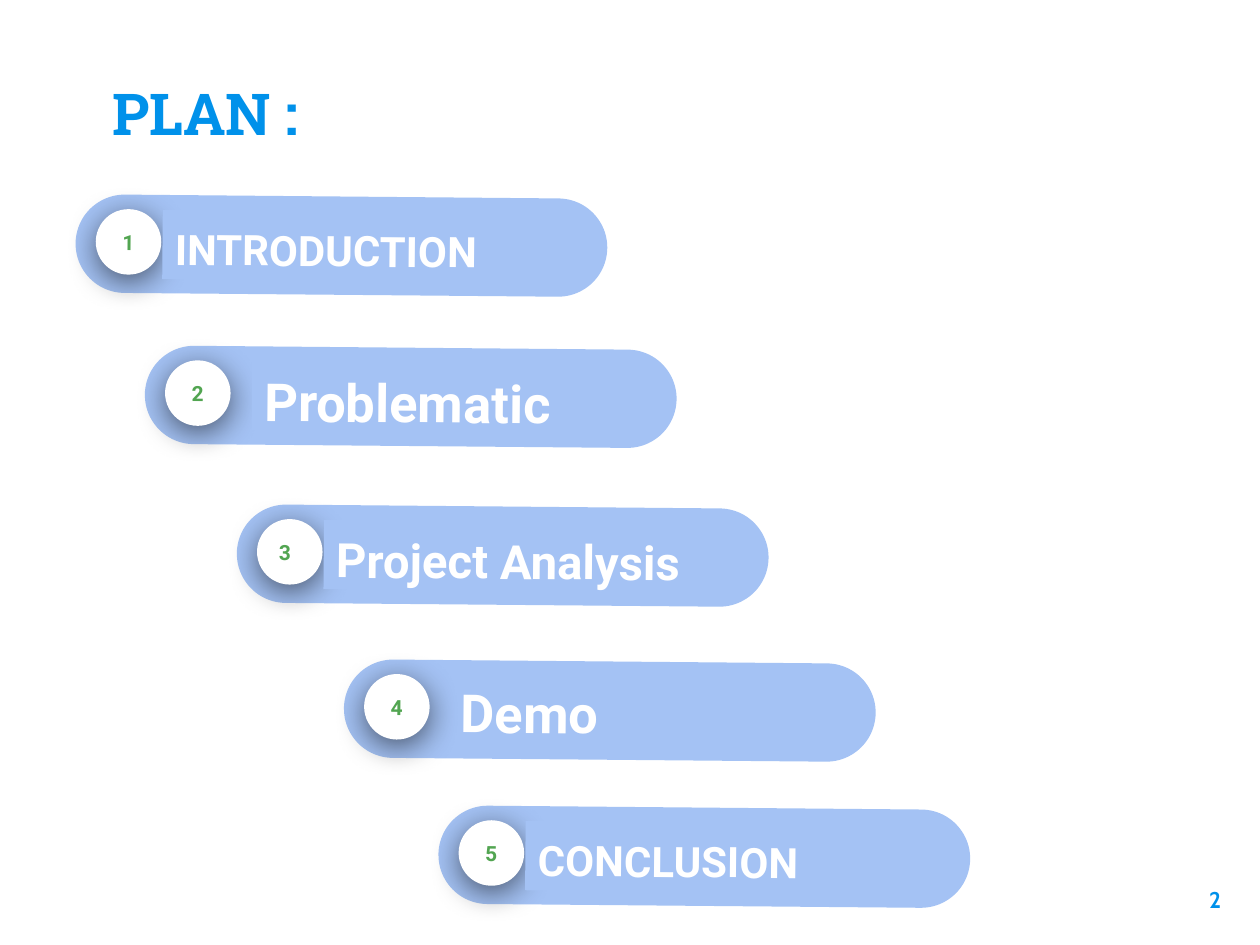
from dataclasses import dataclass

from lxml.etree import SubElement
from pptx import Presentation
from pptx.dml.color import RGBColor
from pptx.enum.shapes import MSO_SHAPE
from pptx.enum.text import MSO_ANCHOR, MSO_AUTO_SIZE, PP_ALIGN
from pptx.oxml.ns import qn
from pptx.util import Inches, Pt

COLORS = {
    "accent": "0091EA",
    "bar": "A4C2F4",
    "number": "52A551",
    "white": "FFFFFF",
    "shadow": "000000",
}
TILT = 0.5
BAR_LENGTH, BAR_HEIGHT = 4.22, 0.78
BADGE_SIZE = 0.52
LABEL_HEIGHT = 0.55


@dataclass
class Step:
    number: str
    label: str
    left: float  # left and top of the number badge
    top: float
    size: int
    label_dx: float = 0.53
    label_dy: float = 0.02
    label_width: float = 3.24
    number_align: PP_ALIGN = PP_ALIGN.CENTER
    badge_in_front: bool = False


STEPS = [
    Step("1", "INTRODUCTION", 0.76, 1.66, 24),
    Step("2", "Problematic", 1.31, 2.86, 30, label_dx=0.69, label_width=3.07),
    Step("3", "Project Analysis", 2.04, 4.12, 27, number_align=PP_ALIGN.LEFT),
    Step("5", "CONCLUSION", 3.64, 6.51, 24),
    Step("4", "Demo", 2.89, 5.35, 30, label_dx=0.67, label_dy=0, badge_in_front=True),
]


def write(shape, text: str, size: int, font: str, color: str,
          align: PP_ALIGN, anchor: MSO_ANCHOR, spacing: float = 1.0) -> None:
    frame = shape.text_frame
    frame.word_wrap = True
    frame.auto_size = MSO_AUTO_SIZE.NONE
    frame.vertical_anchor = anchor
    frame.margin_left = frame.margin_right = Inches(0.1)
    frame.margin_top = frame.margin_bottom = Inches(0.1)
    paragraph = frame.paragraphs[0]
    paragraph.alignment = align
    paragraph.line_spacing = spacing
    run = paragraph.add_run()
    run.text = text
    run.font.size = Pt(size)
    run.font.name = font
    run.font.bold = True
    run.font.color.rgb = RGBColor.from_string(COLORS[color])


def add_block(group, kind: MSO_SHAPE, left: float, top: float,
              width: float, height: float, color: str, rotation: float):
    block = group.shapes.add_shape(
        kind, Inches(left), Inches(top), Inches(width), Inches(height))
    block.rotation = rotation
    block.shadow.inherit = False
    block.fill.solid()
    block.fill.fore_color.rgb = RGBColor.from_string(COLORS[color])
    block.line.fill.background()
    return block


def add_soft_shadow(block) -> None:
    effects = block._element.spPr.find(qn("a:effectLst"))
    shadow = SubElement(effects, qn("a:outerShdw"), blurRad=str(Pt(18)),
                        dist=str(Pt(4)), dir="5400000", algn="bl", rotWithShape="0")
    tint = SubElement(shadow, qn("a:srgbClr"), val=COLORS["shadow"])
    SubElement(tint, qn("a:alpha"), val="55000")


def add_badge(group, step: Step) -> None:
    badge = add_block(group, MSO_SHAPE.OVAL, step.left, step.top,
                      BADGE_SIZE, BADGE_SIZE, "white", TILT)
    add_soft_shadow(badge)
    write(badge, step.number, 12, "Roboto", "number",
          step.number_align, MSO_ANCHOR.MIDDLE)


def add_label(group, step: Step) -> None:
    label = add_block(group, MSO_SHAPE.RECTANGLE, step.left + step.label_dx,
                      step.top + step.label_dy, step.label_width,
                      LABEL_HEIGHT, "bar", TILT)
    write(label, step.label, step.size, "Roboto", "white",
          PP_ALIGN.LEFT, MSO_ANCHOR.MIDDLE, 1.15)


def add_step(slide, step: Step) -> None:
    group = slide.shapes.add_group_shape()
    # The bar is an upright pill turned on its side
    bar = add_block(group, MSO_SHAPE.ROUNDED_RECTANGLE, step.left + 1.56,
                    step.top - 1.82, BAR_HEIGHT, BAR_LENGTH, "bar", 90 + TILT)
    bar.adjustments[0] = 0.5
    parts = [add_badge, add_label]
    if step.badge_in_front:
        parts.reverse()
    for add_part in parts:
        add_part(group, step)


def main() -> None:
    deck = Presentation()
    deck.slide_width, deck.slide_height = Inches(10), Inches(7.5)
    slide = deck.slides.add_slide(deck.slide_layouts[5])

    # Title
    title = slide.shapes.title
    title.left, title.top = Inches(0.79), Inches(0.25)
    title.width, title.height = Inches(2.89), Inches(1.02)
    write(title, "PLAN :", 33, "Roboto Slab", "accent",
          PP_ALIGN.LEFT, MSO_ANCHOR.BOTTOM)

    # Page number
    page_number = slide.shapes.add_textbox(
        Inches(9.19), Inches(6.93), Inches(0.6), Inches(0.57))
    write(page_number, "2", 13, "Cabin", "accent", PP_ALIGN.RIGHT, MSO_ANCHOR.TOP)

    # Staircase of steps
    for step in STEPS:
        add_step(slide, step)

    deck.save("out.pptx")


if __name__ == "__main__":
    main()
